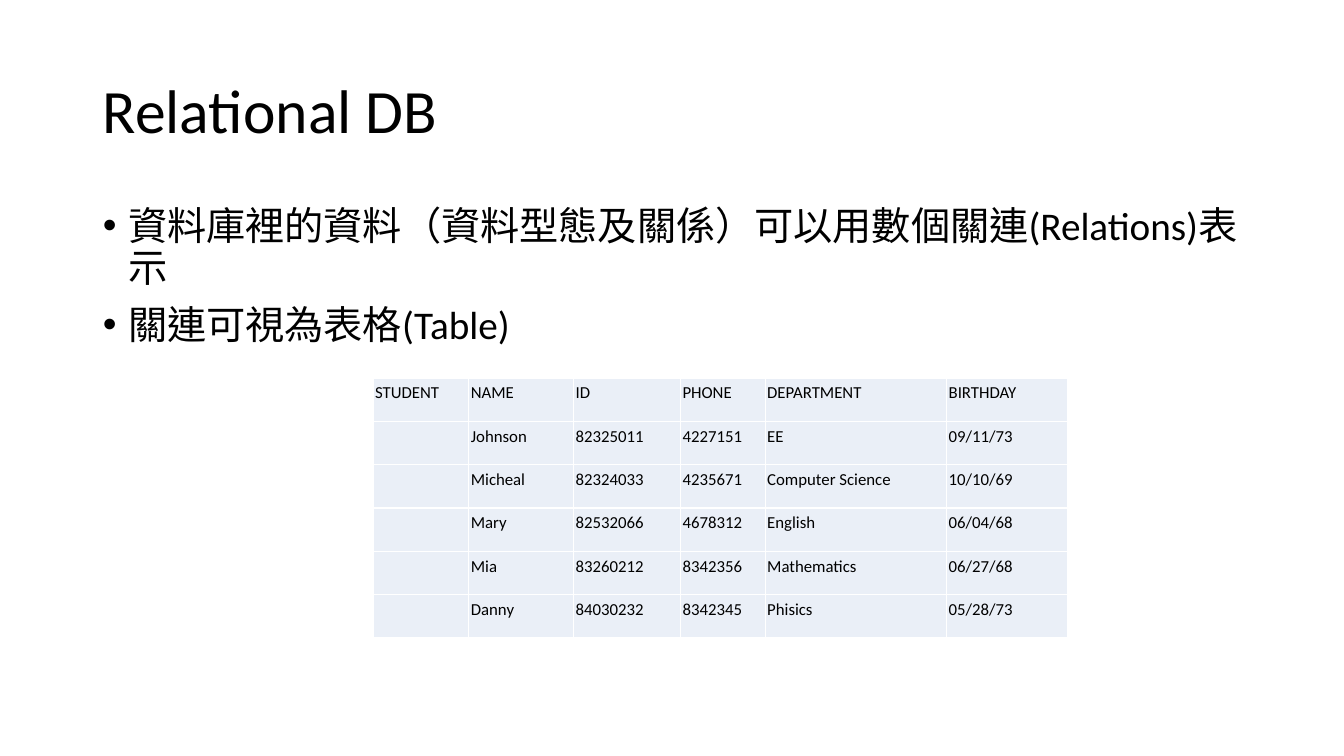
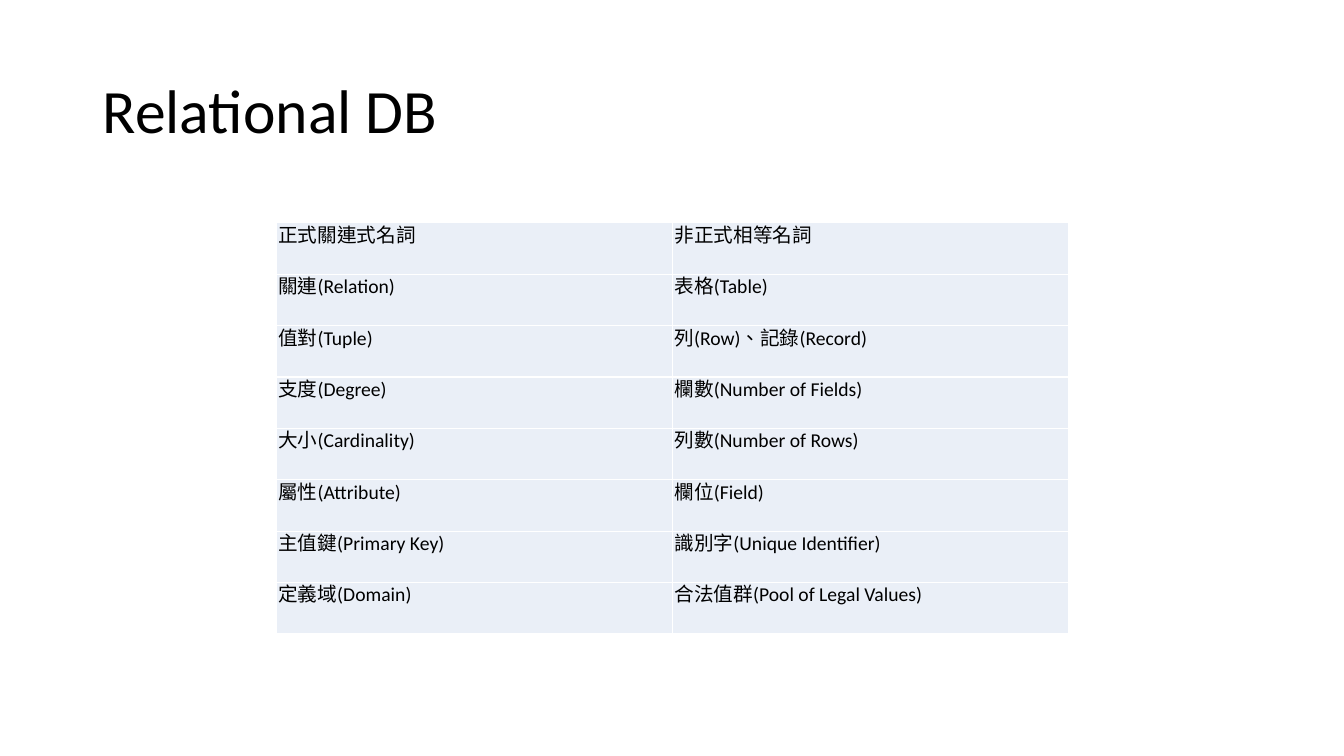
from pptx import Presentation
from pptx.dml.color import RGBColor
from pptx.enum.lang import MSO_LANGUAGE_ID
from pptx.enum.text import MSO_ANCHOR, PP_ALIGN
from pptx.util import Inches, Pt

LEFT, JUSTIFY = PP_ALIGN.LEFT, PP_ALIGN.JUSTIFY
MIDDLE, TOP = MSO_ANCHOR.MIDDLE, MSO_ANCHOR.TOP
CHINESE = MSO_LANGUAGE_ID.TRADITIONAL_CHINESE
BLACK = RGBColor(0x00, 0x00, 0x00)
CELL_FILL = RGBColor(0xEA, 0xEF, 0xF7)
FONT = "Calibri"
TITLE_ONLY, TITLE_AND_BODY = 5, 1

SLIDES = [
    {
        "title": "Relational DB",
        "bullets": [
            "資料庫裡的資料（資料型態及關係）可以用數個關連(Relations)表示",
            "關連可視為表格(Table)",
        ],
        "table": {
            "left": 3.7, "top": 3.75, "row_height": 0.43, "size": 12,
            "columns": [0.95, 1.04, 1.06, 0.84, 1.8, 1.2],
            "rows": [
                ("STUDENT", "NAME", "ID", "PHONE", "DEPARTMENT", "BIRTHDAY"),
                ("", "Johnson", "82325011", "4227151", "EE", "09/11/73"),
                ("", "Micheal", "82324033", "4235671", "Computer Science", "10/10/69"),
                ("", "Mary", "82532066", "4678312", "English", "06/04/68"),
                ("", "Mia", "83260212", "8342356", "Mathematics", "06/27/68"),
                ("", "Danny", "84030232", "8342345", "Phisics", "05/28/73"),
            ],
        },
    },
    {
        "title": "Relational DB",
        "bullets": [],
        "table": {
            "left": 2.74, "top": 2.21, "row_height": 0.51, "size": 14,
            "columns": [3.93, 3.93],
            "rows": [
                ("正式關連式名詞", "非正式相等名詞"),
                ("關連(Relation)", "表格(Table)"),
                ("值對(Tuple)", "列(Row)、記錄(Record)"),
                ("支度(Degree)", "欄數(Number of Fields)"),
                ("大小(Cardinality)", "列數(Number of Rows)"),
                ("屬性(Attribute)", "欄位(Field)"),
                ("主值鍵(Primary Key)", "識別字(Unique Identifier)"),
                ("定義域(Domain)", "合法值群(Pool of Legal Values)"),
            ],
        },
    },
]


def place(sp, left, top, width, height):
    sp.left, sp.top = Inches(left), Inches(top)
    sp.width, sp.height = Inches(width), Inches(height)


def format_paragraph(p, size, align, spacing):
    p.alignment = align
    p.line_spacing = spacing
    p.font.name = FONT
    p.font.size = Pt(size)
    p.font.color.rgb = BLACK
    p.font.language_id = CHINESE


def set_title(slide, text):
    sp = slide.shapes.title
    place(sp, 0.92, 0.4, 11.5, 1.45)
    tf = sp.text_frame
    tf.text = text
    tf.vertical_anchor = MIDDLE
    format_paragraph(tf.paragraphs[0], 44, LEFT, 0.9)


def set_bullets(slide, bullets):
    sp = slide.placeholders[1]
    place(sp, 0.92, 2, 11.5, 4.76)
    tf = sp.text_frame
    tf.text = "\n".join(bullets)
    for p in tf.paragraphs:
        format_paragraph(p, 28, LEFT, 0.9)
        p.space_before = Pt(10)
        pPr = p._p.get_or_add_pPr()
        pPr.set("marL", str(Inches(0.25)))
        pPr.set("indent", str(Inches(-0.25)))


def add_grid(slide, left, top, row_height, size, columns, rows):
    frame = slide.shapes.add_table(
        len(rows), len(columns), Inches(left), Inches(top),
        Inches(sum(columns)), Inches(row_height * len(rows)))
    table = frame.table
    table.first_row = table.horz_banding = False
    for column, width in zip(table.columns, columns):
        column.width = Inches(width)
    for row, texts in zip(table.rows, rows):
        row.height = Inches(row_height)
        for cell, text in zip(row.cells, texts):
            cell.text = text
            cell.fill.solid()
            cell.fill.fore_color.rgb = CELL_FILL
            cell.vertical_anchor = TOP
            cell.margin_left = cell.margin_right = Inches(0.02)
            cell.margin_top = cell.margin_bottom = 0
            format_paragraph(cell.text_frame.paragraphs[0], size, JUSTIFY, Pt(18))


def main():
    prs = Presentation()
    prs.slide_width, prs.slide_height = Inches(13.33), Inches(7.5)
    for content in SLIDES:
        layout = TITLE_AND_BODY if content["bullets"] else TITLE_ONLY
        slide = prs.slides.add_slide(prs.slide_layouts[layout])
        set_title(slide, content["title"])
        if content["bullets"]:
            set_bullets(slide, content["bullets"])
        add_grid(slide, **content["table"])
    prs.save("out.pptx")


if __name__ == "__main__":
    main()
